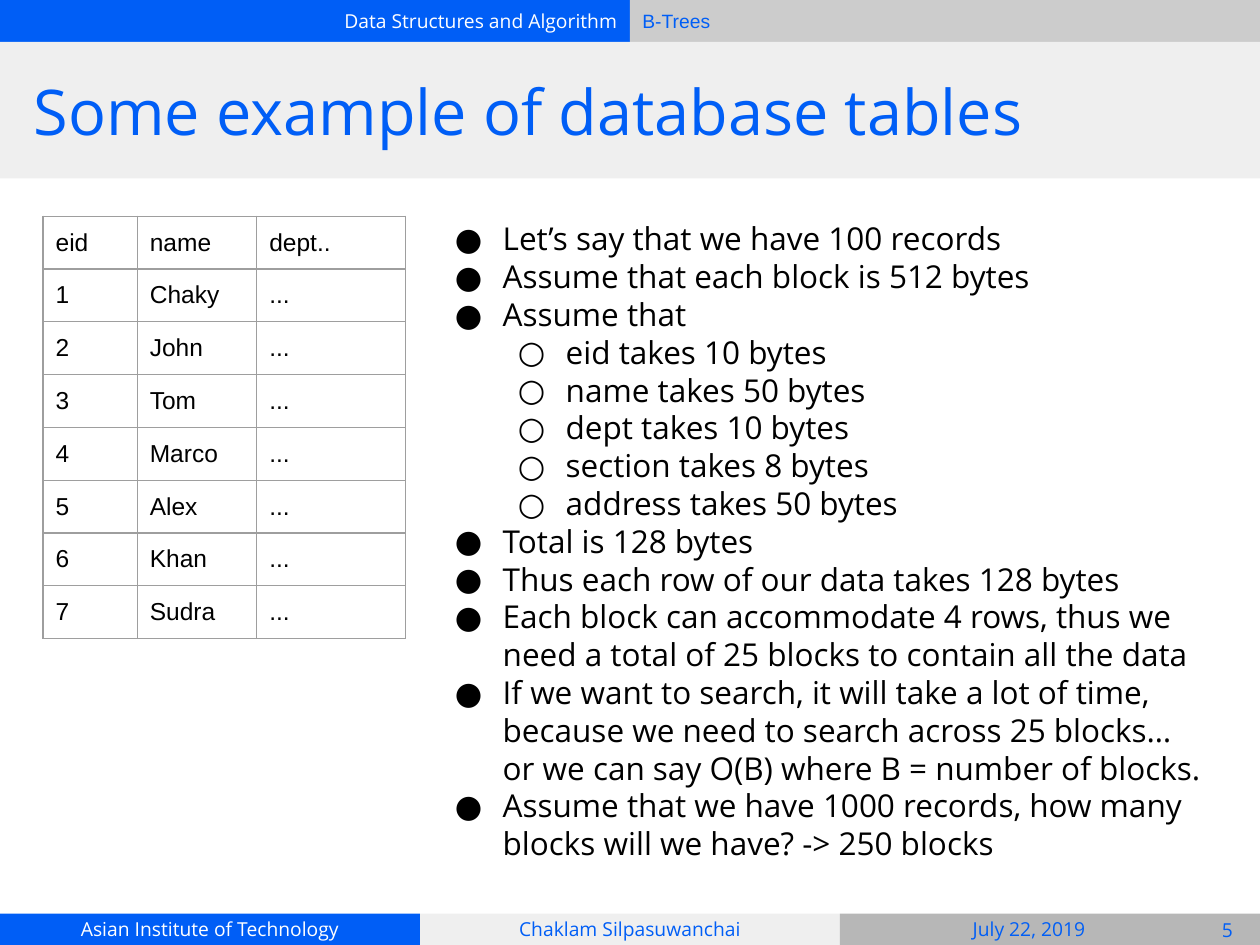
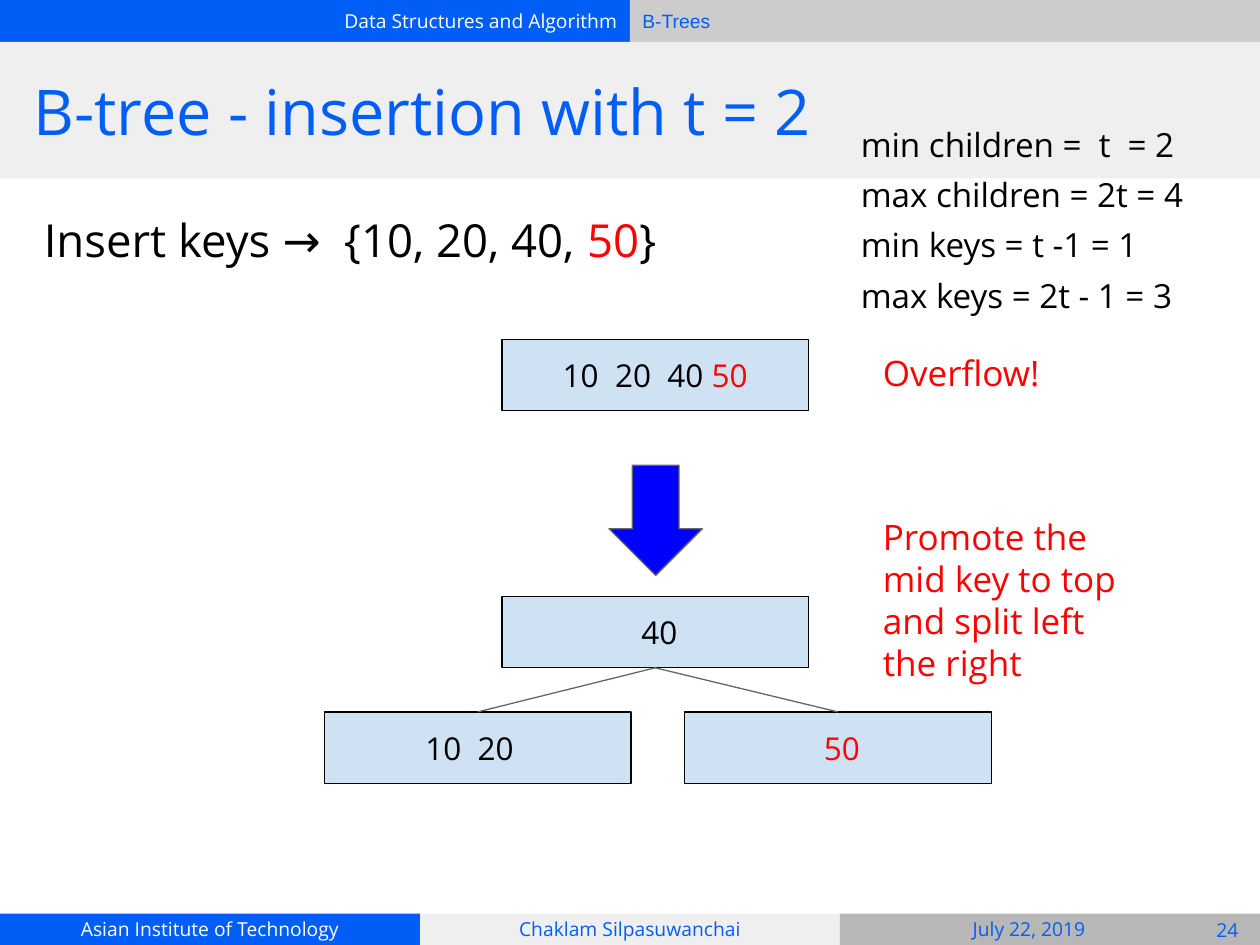
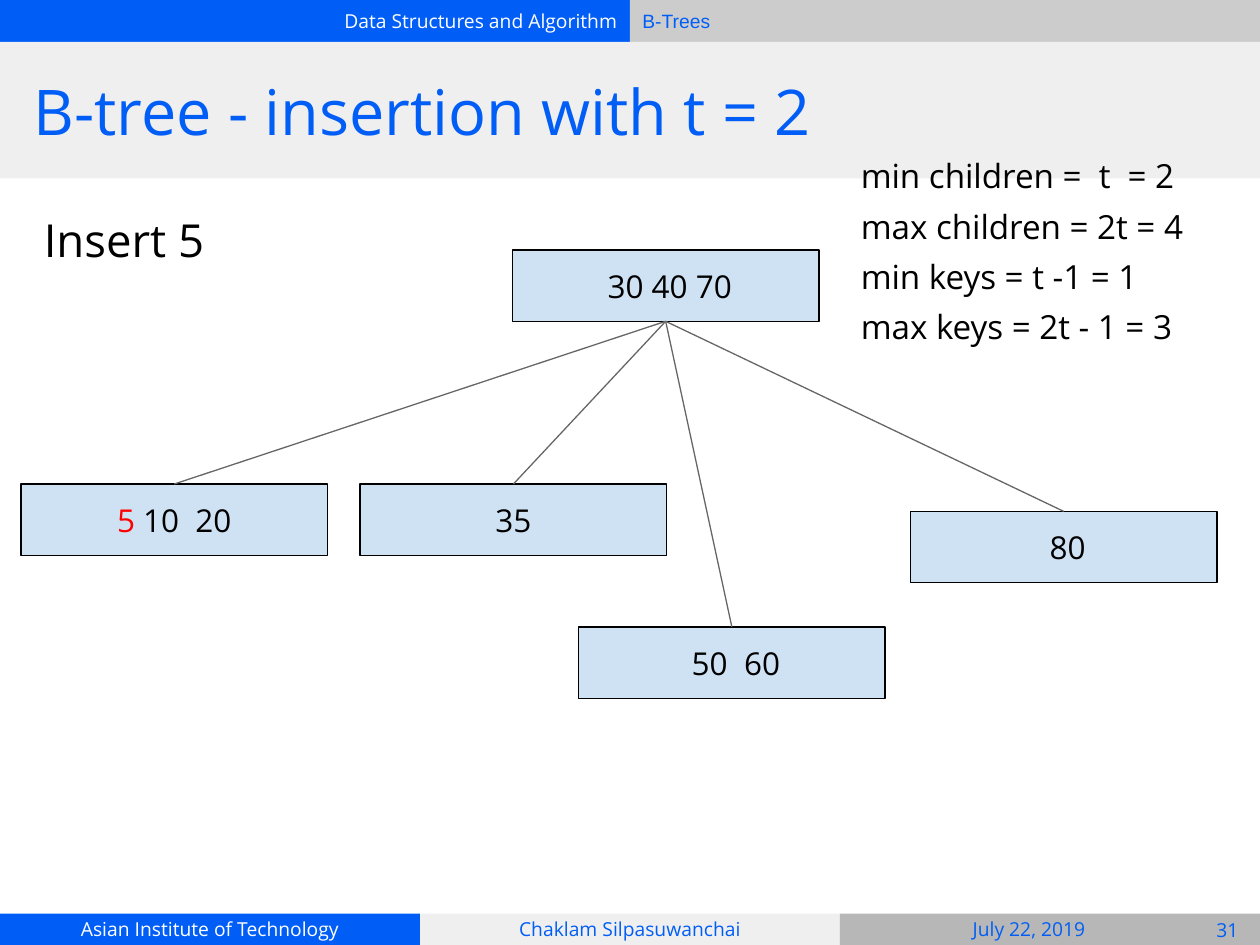
from dataclasses import dataclass

from lxml import etree
from pptx import Presentation
from pptx import util as u
from pptx.dml.color import RGBColor
from pptx.enum import shapes, text
from pptx.oxml import ns

COLUMNS, ROWS = 120, 90
CELL = u.Inches(10) / COLUMNS
SANS, ARIAL = "Open Sans", "Arial"
COLORS = {
    "blue": "005EF6", "white": "FFFFFF", "black": "000000", "red": "FF0000",
    "pale": "EFEFEF", "silver": "CCCCCC", "gray": "B7B7B7", "edge": "666666",
    "node": "CFE2F3", "arrow": "0000FF", "border": "9E9E9E",
}
LEFT, CENTER, RIGHT = text.PP_ALIGN.LEFT, text.PP_ALIGN.CENTER, text.PP_ALIGN.RIGHT
TOP, MIDDLE = text.MSO_ANCHOR.TOP, text.MSO_ANCHOR.MIDDLE
NODE_SIZE = 29.2, 6.8
EMPLOYEES = ["Chaky", "John", "Tom", "Marco", "Alex", "Khan", "Sudra"]
RECORD_NOTES = [
    (0, "Let’s say that we have 100 records"),
    (0, "Assume that each block is 512 bytes"),
    (0, "Assume that"),
    (1, "eid takes 10 bytes"),
    (1, "name takes 50 bytes"),
    (1, "dept takes 10 bytes"),
    (1, "section takes 8 bytes"),
    (1, "address takes 50 bytes"),
    (0, "Total is 128 bytes"),
    (0, "Thus each row of our data takes 128 bytes"),
    (0, "Each block can accommodate 4 rows, thus we need a total of 25 blocks "
        "to contain all the data"),
    (0, "If we want to search, it will take a lot of time, because we need to search "
        "across 25 blocks… or we can say O(B) where B = number of blocks."),
    (0, "Assume that we have 1000 records, how many blocks will we have? -> 250 blocks"),
]
LIMITS = ["min children =  t  = 2", "max children = 2t = 4",
          "min keys = t -1 = 1", "max keys = 2t - 1 = 3"]


@dataclass
class Box:
    """An area in cells of the slide grid."""
    left: float
    top: float
    width: float
    height: float

    def inner(self, left, top, width, height):
        return Box(self.left + left, self.top + top, width, height)

    def emu(self):
        return [round(n * CELL) for n in (self.left, self.top, self.width, self.height)]


def rgb(name):
    return RGBColor.from_string(COLORS[name])


def write(shape, paragraphs, size, color="black", font=SANS, align=LEFT, anchor=TOP, before=0):
    """Fill a shape; a paragraph is a string or a list of (text, color) runs."""
    frame = shape.text_frame
    frame.word_wrap = True
    frame.auto_size = text.MSO_AUTO_SIZE.NONE
    frame.vertical_anchor = anchor
    frame.margin_left = frame.margin_right = u.Inches(0.1)
    frame.margin_top = frame.margin_bottom = u.Inches(0.1)
    for index, content in enumerate(paragraphs):
        paragraph = frame.add_paragraph() if index else frame.paragraphs[0]
        paragraph.alignment = align
        paragraph.space_before = u.Pt(before)
        paragraph.font.size = u.Pt(size)
        paragraph.font.name = font
        paragraph.font.color.rgb = rgb(color)
        for words, run_color in [(content, color)] if isinstance(content, str) else content:
            run = paragraph.add_run()
            run.text = words
            if run_color != color:
                run.font.color.rgb = rgb(run_color)


def add_text(slide, box, paragraphs, size, **style):
    shape = slide.shapes.add_textbox(*box.emu())
    write(shape, paragraphs, size, **style)
    return shape


def add_block(slide, box, fill, line=None, kind=shapes.MSO_SHAPE.RECTANGLE):
    shape = slide.shapes.add_shape(kind, *box.emu())
    shape.shadow.inherit = False
    shape.fill.solid()
    shape.fill.fore_color.rgb = rgb(fill)
    if line:
        shape.line.color.rgb = rgb(line)
        shape.line.width = u.Pt(0.75)
    else:
        shape.line.fill.background()
    return shape


def add_bands(slide, box):
    half, third = box.width / 2, box.width / 3
    course = add_block(slide, box.inner(0, 0, half, 4), "blue")
    write(course, ["Data Structures and Algorithm"], 11, "white", align=RIGHT, anchor=MIDDLE)
    topic = add_block(slide, box.inner(half, 0, half, 4), "silver")
    write(topic, ["B-Trees"], 11, "blue", ARIAL, anchor=MIDDLE)
    add_block(slide, box.inner(0, 4, box.width, 13), "pale")
    footers = [("Asian Institute of Technology", "blue", "white", 0, third),
               ("Chaklam Silpasuwanchai", "pale", "blue", 0, third),
               ("July 22, 2019", "gray", "blue", 1, 34)]
    for index, (words, fill, color, inset, width) in enumerate(footers):
        band = box.inner(index * third, box.height - 3, third, 3)
        add_block(slide, band, fill)
        add_text(slide, band.inner(inset, 0, width, 3), [words], 11,
                 color=color, align=CENTER, anchor=MIDDLE)


def share_bands(slide, layout):
    """Build the bands and hand them to the layout, which shows them on every slide."""
    own = {shape.shape_id for shape in slide.shapes}
    add_bands(slide, Box(0, 0, COLUMNS, ROWS))
    for shape in list(slide.shapes):
        if shape.shape_id not in own:
            layout.shapes.element.append(shape.element)


def add_titled_slide(presentation, layout, title, number):
    slide = presentation.slides.add_slide(layout)
    placeholder = slide.shapes.title
    placeholder.left, placeholder.top, placeholder.width, placeholder.height = \
        Box(2, 4, 116, 13).emu()
    write(placeholder, [title], 36, "blue", anchor=MIDDLE)
    add_text(slide, Box(113.8, 87.1, 6.2, 2.9), [str(number)], 11,
             color="blue", align=CENTER, anchor=MIDDLE)
    return slide


def set_borders(cell):
    properties = cell._tc.get_or_add_tcPr()
    for position, side in enumerate(("a:lnL", "a:lnR", "a:lnT", "a:lnB")):
        line = etree.Element(ns.qn(side), w=str(u.Pt(0.75)))
        fill = etree.SubElement(line, ns.qn("a:solidFill"))
        etree.SubElement(fill, ns.qn("a:srgbClr"), val=COLORS["border"])
        properties.insert(position, line)


def add_employee_table(slide, box):
    records = [("eid", "name", "dept..")]
    records += [(str(eid), name, "...") for eid, name in enumerate(EMPLOYEES, 1)]
    table = slide.shapes.add_table(len(records), 3, *box.emu()).table
    table.first_row = table.horz_banding = False
    for column, share in zip(table.columns, (0.26, 0.33, 0.41)):
        column.width = round(box.width * share * CELL)
    for row, record in zip(table.rows, records):
        for cell, value in zip(row.cells, record):
            cell.margin_left = cell.margin_right = u.Inches(0.1)
            cell.margin_top = cell.margin_bottom = u.Inches(0.1)
            cell.fill.background()
            set_borders(cell)
            paragraph = cell.text_frame.paragraphs[0]
            paragraph.text = value
            paragraph.font.size = u.Pt(14)
            paragraph.font.name = ARIAL
            paragraph.font.color.rgb = rgb("black")


def add_bullets(slide, box, items):
    shape = add_text(slide, box, [words for _, words in items], 18)
    for paragraph, (level, _) in zip(shape.text_frame.paragraphs, items):
        paragraph.level = level
        properties = paragraph._p.get_or_add_pPr()
        properties.set("marL", str(u.Inches(0.5 * (level + 1))))
        properties.set("indent", str(u.Inches(-0.38)))
        color = etree.SubElement(properties, ns.qn("a:buClr"))
        etree.SubElement(color, ns.qn("a:srgbClr"), val=COLORS["black"])
        etree.SubElement(properties, ns.qn("a:buFont"), typeface=SANS)
        etree.SubElement(properties, ns.qn("a:buChar"), char="●○"[level])
        # The schema wants bullets ahead of the default run properties.
        properties.append(properties.find(ns.qn("a:defRPr")))


def add_node(slide, box, left, top, keys):
    node = add_block(slide, box.inner(left, top, *NODE_SIZE), "node", "black")
    write(node, [keys], 18, align=CENTER, anchor=MIDDLE)
    return node


def add_tree(slide, box, root, children):
    """Draw a root and its children, each given as (left, top, keys) within the box."""
    parent = add_node(slide, box, *root)
    for child in children:
        node = add_node(slide, box, *child)
        edge = slide.shapes.add_connector(shapes.MSO_CONNECTOR.STRAIGHT, 0, 0, 0, 0)
        edge.begin_connect(parent, 2)
        edge.end_connect(node, 0)
        edge.line.color.rgb = rgb("edge")
        edge.line.width = u.Pt(0.75)
        etree.SubElement(edge.element.spPr, ns.qn("a:effectLst"))


def add_insertion(slide, task, limits_top):
    add_text(slide, Box(3, 19, 115, 61), [task], 26, before=6)
    add_text(slide, Box(80.8, limits_top, 40.3, 22.1), LIMITS, 19, before=6)


def add_split(slide, box):
    """Show a full node, an arrow and the tree it splits into."""
    add_node(slide, box, 16.9, 0, [("10  20  40", "black"), (" 50", "red")])
    add_block(slide, box.inner(27.1, 12, 8.9, 10.5), "arrow", "edge",
              shapes.MSO_SHAPE.DOWN_ARROW)
    add_tree(slide, box, (16.9, 24.5, " 40"),
             [(0, 35.5, "10  20  "), (34.3, 35.5, [(" 50", "red")])])
    for top, words in [(0, "Overflow!"),
                       (15.6, "Promote the mid key to top and split left the right")]:
        add_text(slide, box.inner(52, top, 26.5, 6.8), [words], 20, color="red")


def main():
    presentation = Presentation()
    presentation.slide_width = round(COLUMNS * CELL)
    presentation.slide_height = round(ROWS * CELL)
    layout = presentation.slide_layouts[5]

    slide = add_titled_slide(presentation, layout, "Some example of database tables", 5)
    share_bands(slide, layout)
    add_employee_table(slide, Box(4.1, 20.6, 34.5, 40.1))
    add_bullets(slide, Box(40.7, 19.7, 75.8, 62.3), RECORD_NOTES)

    insertion_title = "B-tree - insertion with t = 2"
    slide = add_titled_slide(presentation, layout, insertion_title, 24)
    add_insertion(slide, [("Insert keys →  {10, 20, 40, ", "black"),
                          ("50", "red"), ("}", "black")], 10.6)
    add_split(slide, Box(30.9, 32.3, 78.5, 42.3))

    slide = add_titled_slide(presentation, layout, insertion_title, 31)
    add_insertion(slide, "Insert 5", 13.6)
    add_tree(slide, Box(2, 23.8, 114, 42.7), (46.8, 0, " 30 40 70"), [
        (0, 22.3, [("5", "red"), (" 10  20", "black")]),
        (32.3, 22.3, "35"),
        (53.1, 35.9, " 50  60"),
        (84.7, 24.9, " 80"),
    ])

    presentation.save("out.pptx")


if __name__ == "__main__":
    main()
